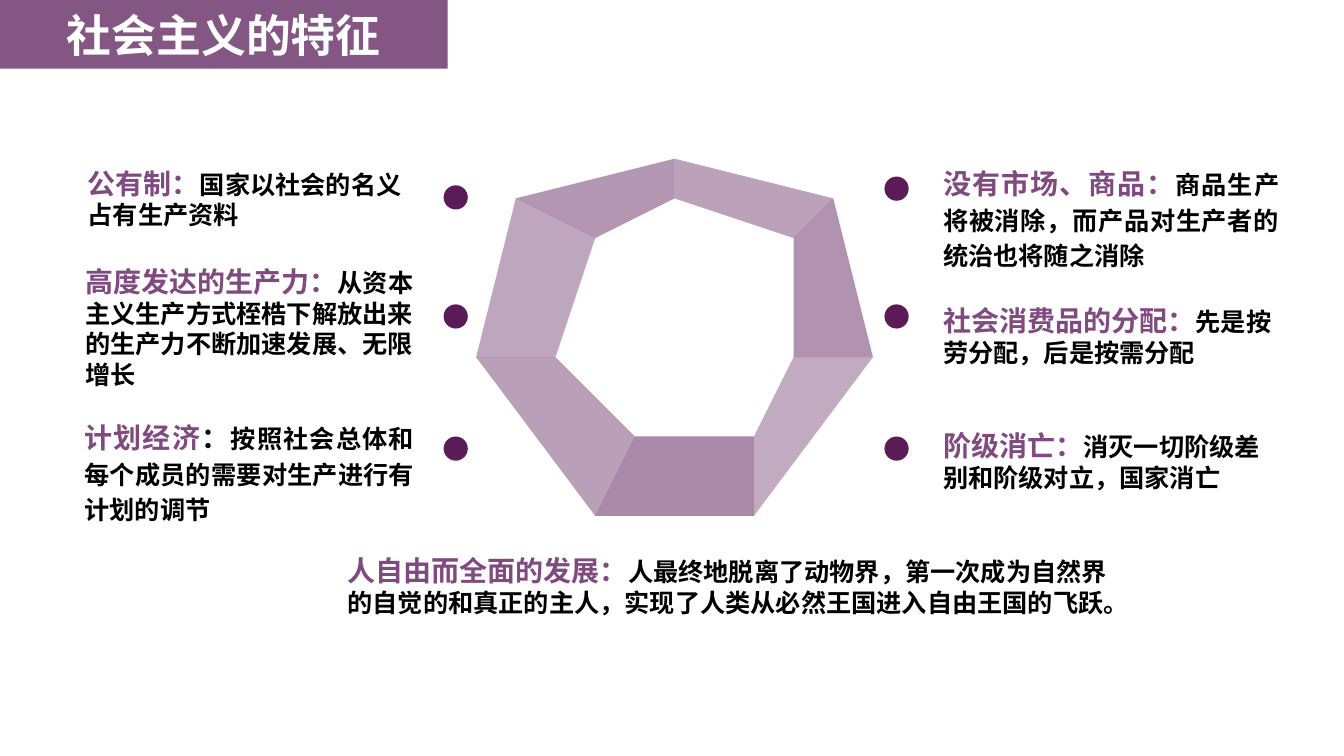
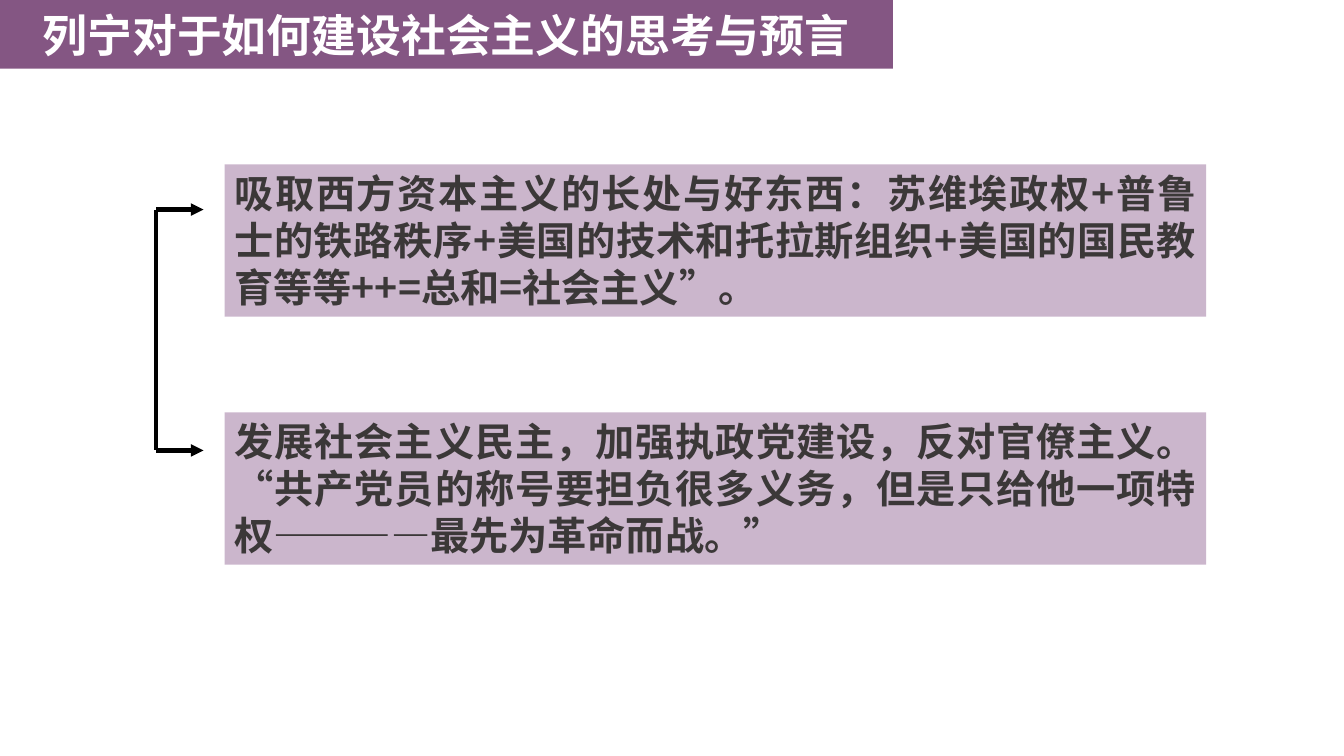
"""Build two slides on the features of socialism and Lenin's thoughts on building it."""
from lxml import etree
from pptx import Presentation, util as u
from pptx.dml.color import RGBColor
from pptx.enum import shapes, text
from pptx.oxml.ns import qn

FONT = "Noto Sans CJK SC"
PLUM, HEADING, PANEL = "5A1B58", "804A81", "7F4980"
BLACK, WHITE, CHARCOAL = "000000", "FFFFFF", "3B3838"


def paint(part, color, opacity=100):
    part.fill.solid()
    part.fill.fore_color.rgb = RGBColor.from_string(color)
    part.line.fill.background()
    if opacity < 100:
        tint = part.element.spPr.find(qn("a:solidFill"))[0]
        etree.SubElement(tint, qn("a:alpha"), val=str(opacity * 1000))


def write(paragraph, words, size, color):
    run = paragraph.add_run()
    run.text = words
    run.font.color.rgb = RGBColor.from_string(color)
    for key, value in {"size": u.Pt(size), "bold": True, "name": FONT}.items():
        setattr(run.font, key, value)
    etree.SubElement(run.font._element, qn("a:ea"), typeface=FONT)


prs = Presentation()
prs.slide_width, prs.slide_height = u.Cm(33.87), u.Cm(19.05)

slides = []
for heading, width in [("社会主义的特征", 11.28), ("列宁对于如何建设社会主义的思考与预言", 22.5)]:
    slide = prs.slides.add_slide(prs.slide_layouts[5])
    banner = slide.shapes.title
    for key, value in {"left": 0, "top": 0, "width": width, "height": 1.73}.items():
        setattr(banner, key, u.Cm(value))
    outline = etree.SubElement(banner.element.spPr, qn("a:prstGeom"), prst="homePlate")
    etree.SubElement(outline, qn("a:avLst"))
    paint(banner, PLUM, 74)
    frame = banner.text_frame
    for key, value in {"auto_size": text.MSO_AUTO_SIZE.NONE, "word_wrap": True,
                       "vertical_anchor": text.MSO_ANCHOR.MIDDLE}.items():
        setattr(frame, key, value)
    frame.paragraphs[0].alignment = text.PP_ALIGN.CENTER
    write(frame.paragraphs[0], heading, 32, WHITE)
    slides.append(slide)
features, lenin = slides

outer = [(17.15, 3.58), (21.04, 5.41), (21.98, 9.43), (19.3, 12.69),
         (14.94, 12.69), (12.24, 9.45), (13.3, 5.36)]
inner = [(17.17, 5.13), (19.81, 6.4), (20.46, 9.14), (18.64, 11.35),
         (15.7, 11.35), (13.87, 9.14), (14.55, 6.35)]
for i, opacity in enumerate([41, 47, 37, 51, 42, 39, 46]):
    following = (i + 1) % len(outer)
    builder = features.shapes.build_freeform(*outer[i], scale=u.Cm(1))
    builder.add_line_segments([inner[i], inner[following], outer[following]])
    side = builder.convert_to_shape()
    side.shadow.inherit = False
    paint(side, PLUM, opacity)

for x, tops in [(11.18, (4.67, 7.67, 11)), (22.29, (4.45, 7.67, 11))]:
    for y in tops:
        dot = features.shapes.add_shape(shapes.MSO_SHAPE.OVAL, u.Cm(x), u.Cm(y), u.Cm(0.61), u.Cm(0.61))
        dot.shadow.inherit = False
        paint(dot, PLUM)

traits = [
    (1.96, 4.06, 8.64, 1.88, False, "公有制：", "", "国家以社会的名义占有生产资料"),
    (1.9, 6.55, 8.86, 3.43, False, "高度发达的生产力：", "",
     "从资本主义生产方式桎梏下解放出来的生产力不断加速发展、无限增长"),
    (1.88, 10.44, 8.81, 2.92, True, "计划经济", "：",
     "按照社会总体和每个成员的需要对生产进行有计划的调节"),
    (23.52, 4.04, 8.97, 2.92, True, "没有市场、商品：", "",
     "商品生产将被消除，而产品对生产者的统治也将随之消除"),
    (23.52, 7.52, 8.81, 1.88, False, "社会消费品的分配：", "", "先是按劳分配，后是按需分配"),
    (23.52, 10.67, 8.81, 1.88, False, "阶级消亡：", "", "消灭一切阶级差别和阶级对立，国家消亡"),
    (8.51, 13.82, 20.24, 1.88, False, "人自由而全面的发展：", "",
     "人最终地脱离了动物界，第一次成为自然界的自觉的和真正的主人，实现了人类从必然王国进入自由王国的飞跃。"),
]
for x, y, width, height, justified, name, colon, detail in traits:
    trait = features.shapes.add_textbox(u.Cm(x), u.Cm(y), u.Cm(width), u.Cm(height))
    trait.text_frame.word_wrap = True
    trait.text_frame.auto_size = text.MSO_AUTO_SIZE.SHAPE_TO_FIT_TEXT
    paragraph = trait.text_frame.paragraphs[0]
    if justified:
        paragraph.alignment = text.PP_ALIGN.JUSTIFY
        paragraph.line_spacing = u.Pt(25)
    for words, size, color in [(name, 20, HEADING), (colon, 20, BLACK), (detail, 18, BLACK)]:
        if words:
            write(paragraph, words, size, color)

ideas = [
    (4.14, "吸取西方资本主义的长处与好东西：苏维埃政权+普鲁士的铁路秩序+美国的技术和托拉斯组织"
           "+美国的国民教育等等++=总和=社会主义”。"),
    (10.39, "发展社会主义民主，加强执政党建设，反对官僚主义。 “共产党员的称号要担负很多义务，"
            "但是只给他一项特权————最先为革命而战。”"),
]
for y, words in ideas:
    idea = lenin.shapes.add_shape(shapes.MSO_SHAPE.RECTANGLE, u.Cm(5.66), u.Cm(y), u.Cm(24.74), u.Cm(3.84))
    idea.shadow.inherit = False
    paint(idea, PANEL, 40)
    for key, value in {"word_wrap": True, "vertical_anchor": text.MSO_ANCHOR.TOP,
                       "auto_size": text.MSO_AUTO_SIZE.SHAPE_TO_FIT_TEXT}.items():
        setattr(idea.text_frame, key, value)
    paragraph = idea.text_frame.paragraphs[0]
    paragraph.alignment = text.PP_ALIGN.JUSTIFY
    write(paragraph, words, 28, CHARCOAL)

spine, tip, upper, lower = 3.94, 5.13, 5.28, 11.35
for x, y, end_x, end_y, arrow in [(spine, upper, spine, lower, False),
                                  (spine, upper, tip, upper, True),
                                  (spine, lower, tip, lower, True)]:
    bracket = lenin.shapes.add_connector(shapes.MSO_CONNECTOR.STRAIGHT,
                                         u.Cm(x), u.Cm(y), u.Cm(end_x), u.Cm(end_y))
    bracket.line.color.rgb = RGBColor.from_string(BLACK)
    bracket.line.width = u.Pt(3)
    if arrow:
        etree.SubElement(bracket.line._ln, qn("a:tailEnd"), type="triangle")
    etree.SubElement(bracket.element.spPr, qn("a:effectLst"))

prs.save("out.pptx")
